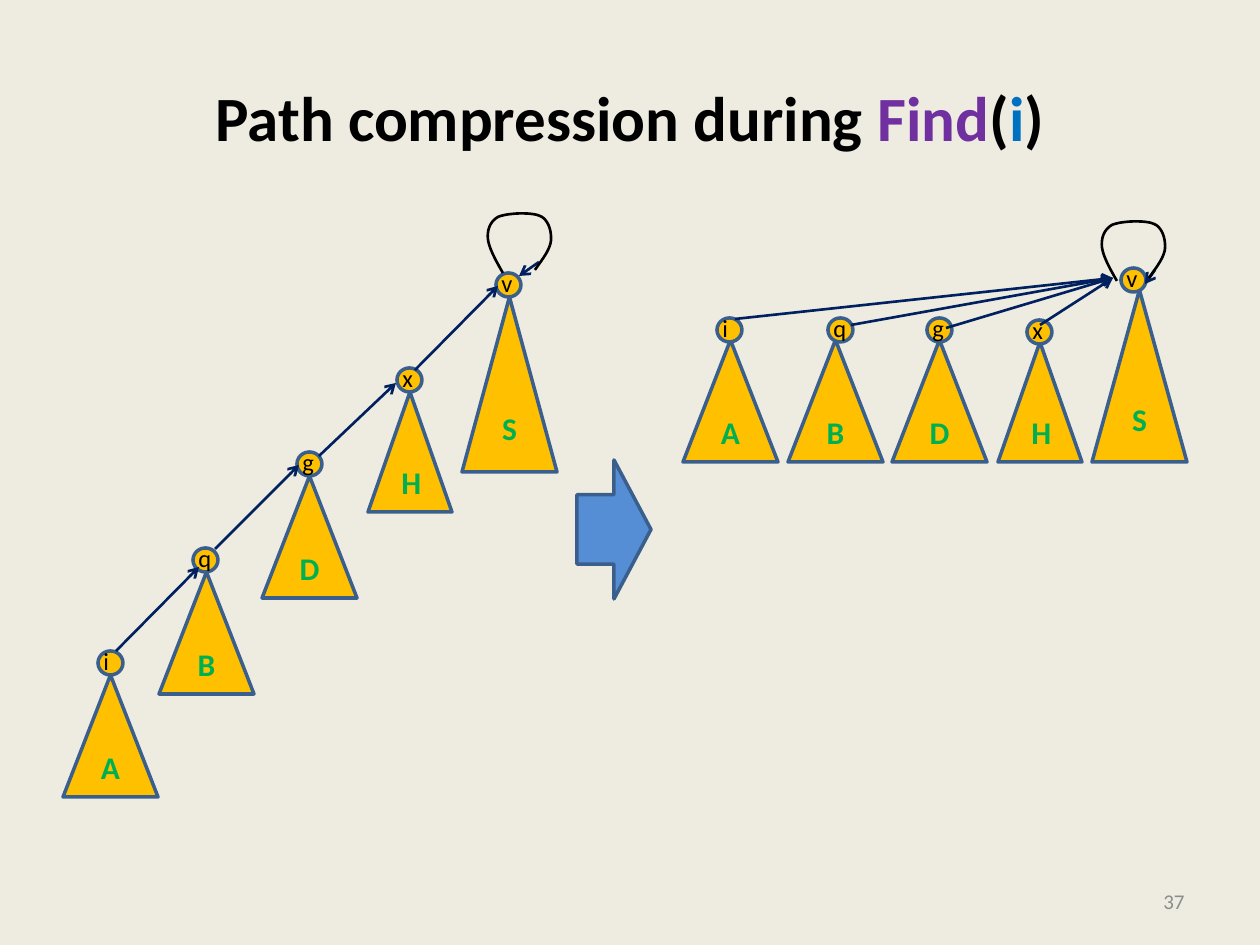
from lxml import etree
from pptx import Presentation
from pptx.dml.color import RGBColor
from pptx.enum.shapes import MSO_CONNECTOR, MSO_SHAPE
from pptx.enum.text import MSO_ANCHOR, MSO_AUTO_SIZE, PP_ALIGN
from pptx.oxml.ns import qn
from pptx.util import Inches, Pt

STRAIGHT = MSO_CONNECTOR.STRAIGHT
TRIANGLE, OVAL, RIGHT_ARROW = MSO_SHAPE.ISOSCELES_TRIANGLE, MSO_SHAPE.OVAL, MSO_SHAPE.RIGHT_ARROW
MIDDLE, FIT = MSO_ANCHOR.MIDDLE, MSO_AUTO_SIZE.SHAPE_TO_FIT_TEXT
LEFT, CENTER, RIGHT = PP_ALIGN.LEFT, PP_ALIGN.CENTER, PP_ALIGN.RIGHT
PX = Inches(1) / 126
COLORS = {
    "background": "EEECE1", "black": "000000", "purple": "7030A0", "blue": "0070C0",
    "gray": "8C8C8C", "gold": "FFC000", "outline": "3A5F8C", "green": "00B050",
    "navy": "002060", "sky": "558ED5",
}
RGB = {name: RGBColor.from_string(value) for name, value in COLORS.items()}

prs = Presentation()
prs.slide_width, prs.slide_height = Inches(10), Inches(7.5)
slide = prs.slides.add_slide(prs.slide_layouts[6])
slide.background.fill.solid()
slide.background.fill.fore_color.rgb = RGB["background"]
shapes = slide.shapes


def add_block(preset, box, fill):
    block = shapes.add_shape(preset, *[round(n * PX) for n in box])
    block.shadow.inherit = False
    block.fill.solid()
    block.fill.fore_color.rgb = RGB[fill]
    block.line.color.rgb = RGB["outline"]
    block.line.width = Pt(2)
    return block


def write(frame, parts, size, align, bold=False):
    paragraph = frame.paragraphs[0]
    paragraph.alignment = align
    for text, color in parts:
        run = paragraph.add_run()
        run.text = text
        run.font.name = "Calibri"
        run.font.size = Pt(size)
        run.font.bold = bold
        run.font.color.rgb = RGB[color]


title_parts = [("Path compression during ", "black"), ("Find", "purple"), ("(", "black"),
               ("i", "blue"), (")", "black")]
for box, parts, size, align, bold in [
    ((63, 38, 1134, 157), title_parts, 36, CENTER, True),
    ((903, 876, 294, 50), [("37", "gray")], 12, RIGHT, False),
]:
    frame = shapes.add_textbox(*[round(n * PX) for n in box]).text_frame
    frame.word_wrap = True
    frame.vertical_anchor = MIDDLE
    write(frame, parts, size, align, bold)

trees = [
    ("A", (63, 675, 95, 122), "i", 98, 651),
    ("B", (159, 572, 95, 122), "q", 193, 548),
    ("D", (262, 476, 95, 122), "g", 297, 452),
    ("H", (368, 392, 84, 120), "x", 397, 368),
    ("S", (462, 297, 95, 175), "v", 496, 273),
    ("A", (683, 340, 95, 122), "i", 717, 318),
    ("B", (788, 340, 95, 122), "q", 828, 318),
    ("D", (892, 340, 95, 122), "g", 927, 318),
    ("H", (998, 342, 84, 120), "x", 1027, 320),
    ("S", (1092, 290, 95, 172), "v", 1121, 268),
]
label_widths = {"i": 31, "q": 39}
for subtree, box, node, node_x, node_y in trees:
    triangle = add_block(TRIANGLE, box, "gold")
    triangle.text_frame.vertical_anchor = MIDDLE
    write(triangle.text_frame, [(subtree, "green")], 18, CENTER, True)
    add_block(OVAL, (node_x, node_y, 25, 24), "gold")
    label_box = (node_x - 7, node_y - 11, label_widths.get(node, 36), 42)
    label = shapes.add_textbox(*[round(n * PX) for n in label_box]).text_frame
    label.word_wrap = False
    label.auto_size = FIT
    write(label, [(node, "black")], 14, LEFT)

add_block(RIGHT_ARROW, (577, 460, 74, 139), "sky")

root = (1113, 278)
parent_links = [
    ((116, 651), (199, 567)), ((215, 549), (299, 465)),
    ((319, 456), (396, 383)), ((415, 370), (498, 286)),
    ((539, 262), (519, 276)), ((1155, 270), (1145, 284)),
    ((735, 319), root), ((851, 325), root), ((946, 328), root), ((1040, 325), root),
]
for start, end in parent_links:
    link = shapes.add_connector(STRAIGHT, *[round(n * PX) for n in start + end])
    link.line.color.rgb = RGB["navy"]
    link.line.width = Pt(1.5)
    etree.SubElement(link.line._get_or_add_ln(), qn("a:tailEnd"), type="arrow")
    etree.SubElement(link._element.spPr, qn("a:effectLst"))

loop_curve = [
    (15, 60), (8, 48), (1, 35), (0, 26), (-1, 16), (3, 8), (10, 4), (19, 0),
    (44, -1), (52, 3), (60, 6), (64, 18), (63, 28), (62, 37), (54, 47), (47, 57),
]
STEPS = 12
for loop_x, loop_y in [(488, 213), (1102, 221)]:
    points = []
    for first in range(0, len(loop_curve) - 1, 3):
        bend = loop_curve[first:first + 4]
        for step in range(STEPS + 1):
            t = step / STEPS
            weights = [(1 - t) ** 3, 3 * t * (1 - t) ** 2, 3 * t * t * (1 - t), t ** 3]
            x = loop_x + sum(w * point[0] for w, point in zip(weights, bend))
            y = loop_y + sum(w * point[1] for w, point in zip(weights, bend))
            points.append((round(x * PX), round(y * PX)))
    builder = shapes.build_freeform(*points[0])
    builder.add_line_segments(points[1:], close=False)
    self_loop = builder.convert_to_shape()
    self_loop.shadow.inherit = False
    self_loop.fill.background()
    self_loop.line.color.rgb = RGB["black"]
    self_loop.line.width = Pt(1.5)

prs.save("out.pptx")
